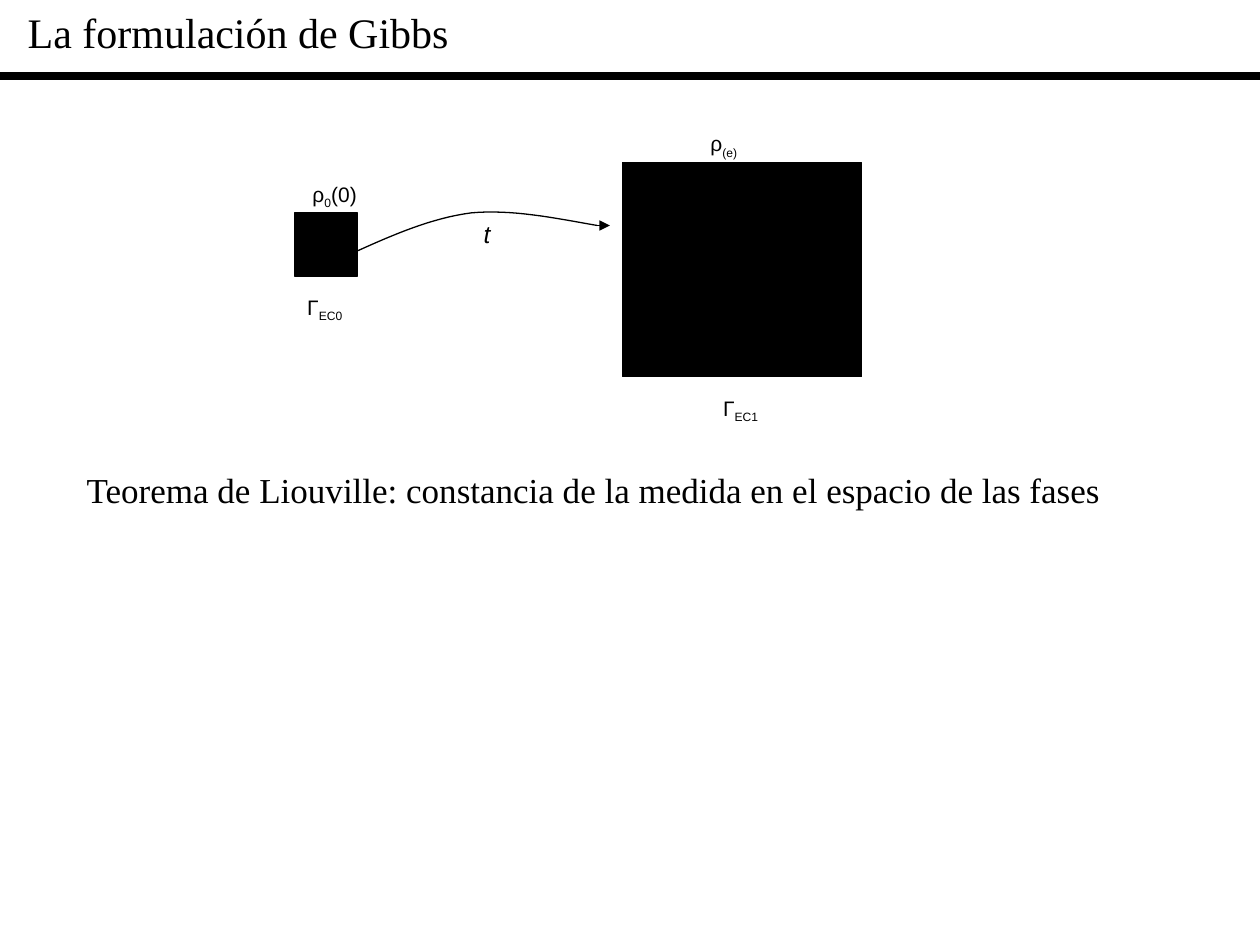
from pptx import Presentation
from pptx.dml.color import RGBColor
from pptx.enum.shapes import MSO_CONNECTOR as Connector, MSO_SHAPE as Shape
from pptx.enum.text import MSO_ANCHOR as Anchor, MSO_AUTO_SIZE as AutoSize, PP_ALIGN as Align
from pptx.oxml.ns import qn
from pptx.util import Inches, Pt
from lxml.etree import SubElement

COLORS = {"ink": "000000", "paper": "FFFFFF"}
SERIF, SANS = "Times New Roman", "Arial"


def bezier(start, control1, control2, end, steps=16):
    for step in range(1, steps + 1):
        t = step / steps
        weights = ((1 - t) ** 3, 3 * t * (1 - t) ** 2, 3 * t * t * (1 - t), t ** 3)
        points = (start, control1, control2, end)
        yield tuple(Inches(sum(w * p[axis] for w, p in zip(weights, points))) for axis in (0, 1))


class SlideBuilder:
    def __init__(self, page):
        self.page = page
        self.ink = RGBColor.from_string(COLORS["ink"])
        page.background.fill.solid()
        page.background.fill.fore_color.rgb = RGBColor.from_string(COLORS["paper"])

    def fill_text(self, box, runs, size, font, italic=False, before=0, indent=0.1):
        frame = box.text_frame
        frame.word_wrap = True
        frame.auto_size = AutoSize.NONE
        frame.vertical_anchor = Anchor.TOP
        frame.margin_left, frame.margin_right = Inches(indent), Inches(0.1)
        frame.margin_top = frame.margin_bottom = Inches(0.05)
        para = frame.paragraphs[0]
        para.alignment = Align.LEFT
        para.line_spacing = 1.0
        para.space_before = Pt(before)
        for words, baseline in runs:
            span = para.add_run()
            span.text = words
            span.font.size, span.font.name = Pt(size), font
            span.font.italic = italic
            span.font.color.rgb = self.ink
            if baseline:
                span.font._element.set("baseline", str(baseline * 1000))

    def title(self, words, left, top, width, height):
        box = self.page.shapes.title
        box.left, box.top, box.width, box.height = map(Inches, (left, top, width, height))
        self.fill_text(box, [(words, 0)], 24, SERIF, before=15)

    def text(self, left, top, width, height, runs, size=12, font=SANS, **style):
        box = self.page.shapes.add_textbox(*map(Inches, (left, top, width, height)))
        self.fill_text(box, runs, size, font, **style)

    def rectangle(self, left, top, width, height):
        box = self.page.shapes.add_shape(Shape.RECTANGLE, *map(Inches, (left, top, width, height)))
        box.shadow.inherit = False
        box.fill.solid()
        box.fill.fore_color.rgb = self.ink
        self.outline(box, 0.75)

    def outline(self, item, weight):
        item.line.color.rgb = self.ink
        item.line.width = Pt(weight)

    def line(self, start, end, weight=0.75, arrow=False):
        link = self.page.shapes.add_connector(Connector.STRAIGHT, *map(Inches, start + end))
        self.outline(link, weight)
        if arrow:
            SubElement(link.line._get_or_add_ln(), qn("a:tailEnd"), type="triangle")
        SubElement(link._element.spPr, qn("a:effectLst"))

    def curve(self, start, *segments):
        path_builder = self.page.shapes.build_freeform(Inches(start[0]), Inches(start[1]))
        for segment in segments:
            path_builder.add_line_segments(list(bezier(start, *segment)), close=False)
            start = segment[-1]
        arc = path_builder.convert_to_shape()
        arc.shadow.inherit = False
        arc.fill.background()
        self.outline(arc, 0.75)


def main():
    deck = Presentation()
    deck.slide_width, deck.slide_height = Inches(10), Inches(7.5)
    page = SlideBuilder(deck.slides.add_slide(deck.slide_layouts[5]))

    page.line((0, 0.6), (10, 0.6), weight=4.5)
    page.title("La formulación de Gibbs", 0.12, 0, 9.88, 0.5)

    page.rectangle(2.34, 1.69, 0.5, 0.5)
    page.rectangle(4.94, 1.29, 1.9, 1.7)
    page.text(2.24, 1.39, 1, 0.3, [("ρ", 0), ("0", -25), ("(0)", 0)], indent=0.24)
    page.text(2.34, 2.29, 0.5, 0.3, [("Γ", 0), ("EC0", -25)])
    page.text(5.54, 0.99, 0.6, 0.3, [("ρ", 0), ("(e)", -25)])
    page.text(5.64, 3.09, 0.5, 0.3, [("Γ", 0), ("EC1", -25)])

    page.curve((2.84, 1.99),
               ((3.13, 1.86), (3.43, 1.73), (3.74, 1.69)),
               ((4.06, 1.66), (4.4, 1.73), (4.74, 1.79)))
    page.line((4.74, 1.79), (4.84, 1.79), arrow=True)
    page.text(3.74, 1.69, 0.3, 0.3, [("t", 0)], size=14, italic=True)

    page.text(0.59, 3.67, 8.74, 0.44,
              [("Teorema de Liouville: constancia de la medida en el espacio de las fases", 0)],
              size=20, font=SERIF, before=12.5)
    deck.save("out.pptx")


if __name__ == "__main__":
    main()
